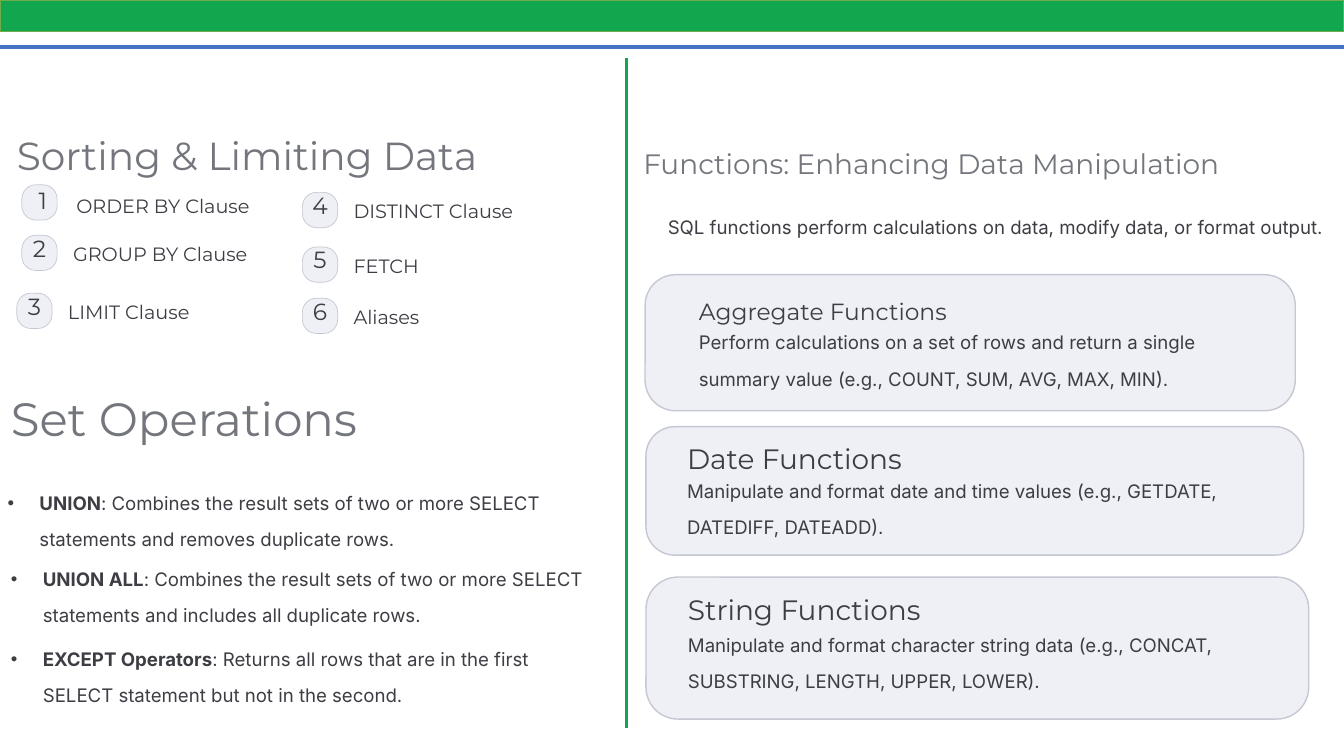
from dataclasses import dataclass

from lxml import etree
from pptx import Presentation
from pptx import util as u
from pptx.dml.color import RGBColor
from pptx.enum import shapes, text
from pptx.oxml.ns import qn

GREEN, BLUE, OLIVE = "12A64E", "4472C4", "70AD47"
GREY, DARK, PALE, EDGE = "74767D", "3D3E44", "EFF0F6", "C5C7D2"
HEADING, BODY = "Montserrat", "Inter"
BADGE = 0.42


@dataclass
class Clause:
    number: int
    label: str
    left: float
    top: float
    shift_x: float = 0
    shift_y: float = 0


@dataclass
class Card:
    title: str
    detail: str
    area: tuple
    inset: float
    title_top: float
    detail_top: float
    detail_size: tuple
    title_points: float = 24


@dataclass
class Operation:
    name: str
    meaning: str
    indent: float
    before: float


CLAUSES = [
    Clause(1, "ORDER BY Clause", 0.26, 2.2, 0.04, 0.03),
    Clause(2, "GROUP BY Clause", 0.26, 2.8),
    Clause(3, "LIMIT Clause", 0.2, 3.49),
    Clause(4, "DISTINCT Clause", 3.6, 2.29),
    Clause(5, "FETCH", 3.6, 2.94),
    Clause(6, "Aliases", 3.6, 3.55),
]
CARDS = [
    Card("Aggregate Functions",
         "Perform calculations on a set of rows and return a single summary value "
         "(e.g., COUNT, SUM, AVG, MAX, MIN).",
         (7.68, 3.27, 7.74, 1.62), 0.64, 3.46, 3.78, (6.76, 0.97), 20),
    Card("Date Functions",
         "Manipulate and format date and time values (e.g., GETDATE, DATEDIFF, DATEADD).",
         (7.69, 5.08, 7.83, 1.53), 0.49, 5.24, 5.55, (6.84, 0.92)),
    Card("String Functions",
         "Manipulate and format character string data "
         "(e.g., CONCAT, SUBSTRING, LENGTH, UPPER, LOWER).",
         (7.69, 6.87, 7.89, 1.69), 0.5, 7.04, 7.38, (6.89, 1.01)),
]
OPERATIONS = [
    Operation("UNION", ": Combines the result sets of two or more SELECT statements "
              "and removes duplicate rows.", 0.38, 0),
    Operation("UNION ALL", ": Combines the result sets of two or more SELECT statements "
              "and includes all duplicate rows.", 0.42, 3),
    Operation("EXCEPT Operators", ": Returns all rows that are in the first SELECT "
              "statement but not in the second.", 0.42, 7),
]


def rgb(value: str) -> RGBColor:
    return RGBColor.from_string(value)


def inches(area: tuple) -> list:
    return [u.Inches(length) for length in area]


def place(box, area: tuple) -> None:
    box.left, box.top, box.width, box.height = inches(area)


def set_frame(box, wrap: bool = False, inset: tuple = (0, 0)):
    frame = box.text_frame
    frame.auto_size = text.MSO_AUTO_SIZE.NONE
    frame.word_wrap = wrap
    frame.vertical_anchor = text.MSO_ANCHOR.TOP
    frame.margin_left = frame.margin_right = u.Inches(inset[0])
    frame.margin_top = frame.margin_bottom = u.Inches(inset[1])
    return frame


def write(para, words: str, *, size: float, spacing: float, font: str = HEADING,
          color: str = DARK, bold: bool = False, centered: bool = False) -> None:
    para.alignment = text.PP_ALIGN.CENTER if centered else text.PP_ALIGN.LEFT
    para.line_spacing = u.Pt(spacing)
    span = para.add_run()
    span.text = words
    span.font.name, span.font.size, span.font.bold = font, u.Pt(size), bold
    span.font.color.rgb = rgb(color)


def add_text(parent, area: tuple, words: str, *, wrap: bool = False,
             inset: tuple = (0, 0), **style) -> None:
    box = parent.shapes.add_textbox(*inches(area))
    write(set_frame(box, wrap, inset).paragraphs[0], words, **style)


def add_panel(parent, area: tuple, fill: str, edge: str, width: float,
              radius: float = 0) -> None:
    kind = shapes.MSO_SHAPE.ROUNDED_RECTANGLE if radius else shapes.MSO_SHAPE.RECTANGLE
    panel = parent.shapes.add_shape(kind, *inches(area))
    panel.shadow.inherit = False
    if radius:
        panel.adjustments[0] = radius
    panel.fill.solid()
    panel.fill.fore_color.rgb = rgb(fill)
    panel.line.color.rgb = rgb(edge)
    panel.line.width = u.Pt(width)


def add_line(page, ends: tuple, color: str, width: float) -> None:
    line = page.shapes.add_connector(shapes.MSO_CONNECTOR.STRAIGHT, *inches(ends))
    line.line.color.rgb = rgb(color)
    line.line.width = u.Pt(width)
    etree.SubElement(line._element.spPr, qn("a:effectLst"))


def add_clause(page, clause: Clause) -> None:
    group = page.shapes.add_group_shape()
    left, top = clause.left, clause.top
    text_left, text_top = left + clause.shift_x, top + clause.shift_y
    add_panel(group, (left, top, BADGE, BADGE), PALE, EDGE, 0.6, 0.4)
    add_text(group, (text_left + 0.07, text_top + 0.04, 0.28, 0.35), str(clause.number),
             size=20, spacing=20, centered=True)
    add_text(group, (text_left + 0.61, text_top + 0.07, 2.34, 0.29), clause.label,
             size=16.5, spacing=21)


def add_card(page, card: Card) -> None:
    group = page.shapes.add_group_shape()
    left = card.area[0] + card.inset
    add_panel(group, card.area, PALE, EDGE, 1.2, 0.225)
    add_text(group, (left, card.title_top, 6, 0.24), card.title,
             size=card.title_points, spacing=30)
    add_text(group, (left, card.detail_top, *card.detail_size), card.detail, wrap=True,
             font=BODY, size=16, spacing=31)


def add_operation(para, operation: Operation) -> None:
    properties = para._p.get_or_add_pPr()
    properties.set("marL", str(u.Inches(operation.indent)))
    properties.set("indent", str(-u.Inches(0.38)))
    etree.SubElement(properties, qn("a:buChar")).set("char", "•")
    para.space_before = u.Pt(operation.before)
    for words, bold in ((operation.name, True), (operation.meaning, False)):
        write(para, words, font=BODY, size=16, spacing=31, bold=bold)


def main() -> None:
    deck = Presentation()
    deck.slide_width, deck.slide_height = u.Inches(16), u.Inches(9)
    page = deck.slides.add_slide(deck.slide_layouts[1])
    title, body = page.placeholders

    add_panel(page, (0, 0, 16, 0.38), GREEN, OLIVE, 1)
    add_line(page, (-0.02, 0.56, 16.02, 0.56), BLUE, 3)
    add_line(page, (7.46, 0.69, 7.46, 8.67), GREEN, 2.25)

    place(title, (0.2, 1.54, 5.59, 0.59))
    write(set_frame(title).paragraphs[0], "Sorting & Limiting Data",
          size=33.5, spacing=42, color=GREY)
    for clause in CLAUSES:
        add_clause(page, clause)

    add_text(page, (0.13, 4.47, 6.75, 0.84), "Set Operations",
             size=40, spacing=60.5, color=GREY)
    place(body, (0.09, 5.69, 7.07, 2.72))
    frame = set_frame(body, wrap=True)
    for index, operation in enumerate(OPERATIONS):
        add_operation(frame.add_paragraph() if index else frame.paragraphs[0], operation)

    add_text(page, (7.56, 1.25, 8.46, 0.83), "Functions: Enhancing Data Manipulation",
             wrap=True, inset=(0.1, 0.05), size=24, spacing=60.5, color=GREY)
    add_text(page, (7.95, 2.4, 6.85, 0.43),
             "SQL functions perform calculations on data, modify data, or format output.",
             font=BODY, size=16, spacing=31)
    for card in CARDS:
        add_card(page, card)

    deck.save("out.pptx")


if __name__ == "__main__":
    main()
